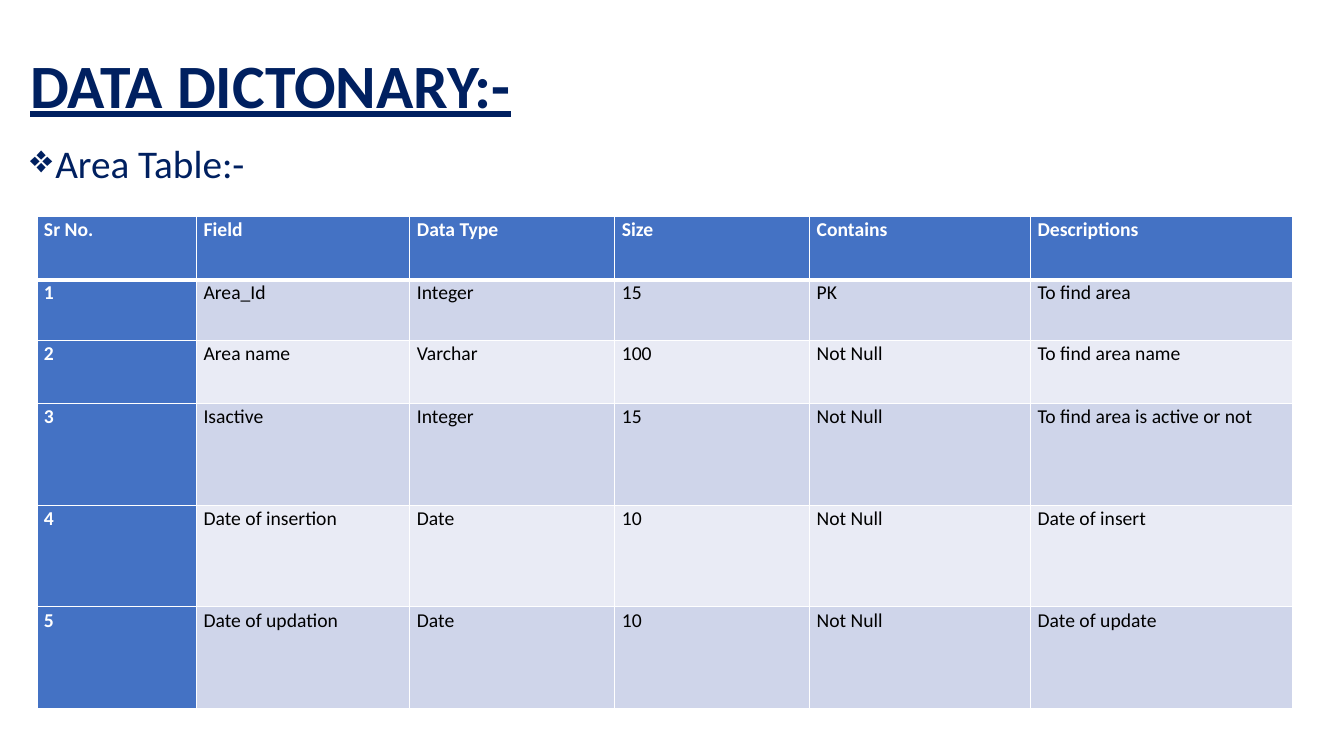
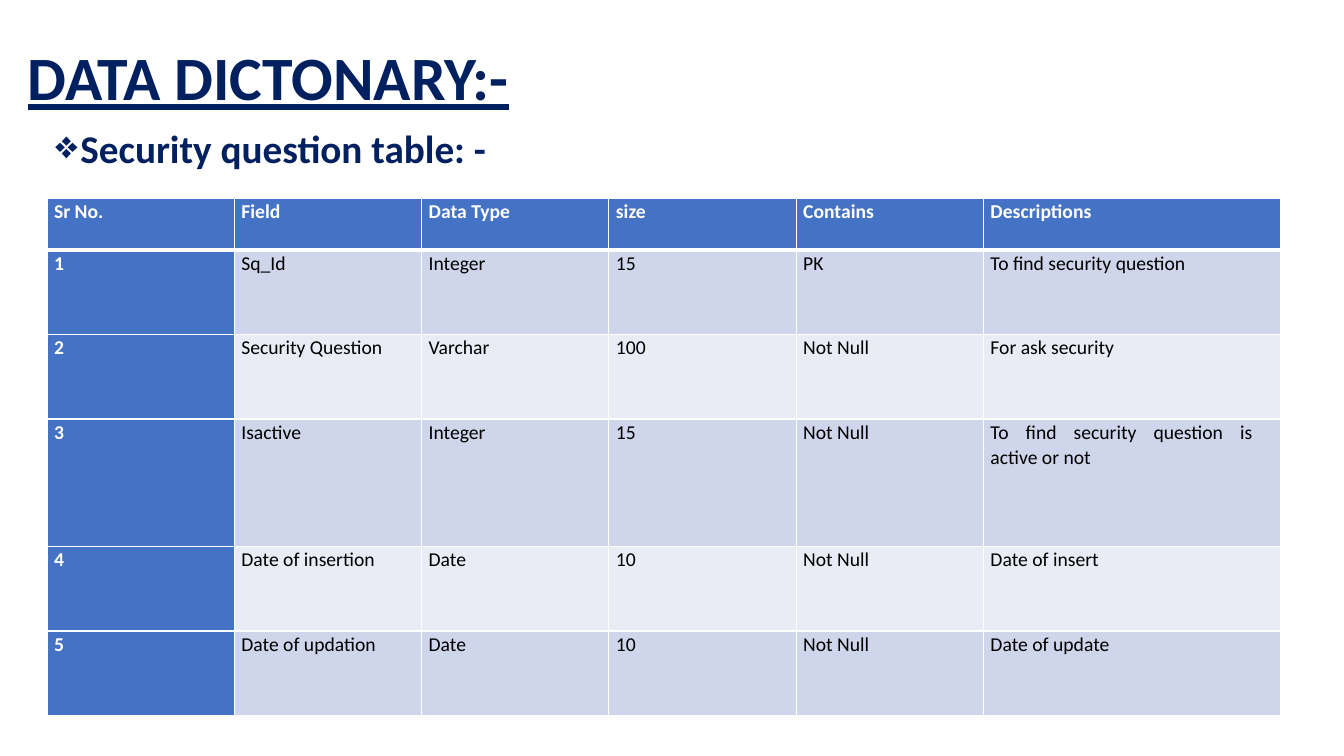
from dataclasses import dataclass

from lxml.etree import SubElement
from pptx import Presentation
from pptx.dml.color import RGBColor
from pptx.enum.text import MSO_ANCHOR, MSO_AUTO_SIZE, PP_ALIGN
from pptx.oxml.ns import qn
from pptx.slide import Slide
from pptx.table import _Cell
from pptx.text.text import TextFrame
from pptx.util import Inches, Pt

SLIDE_WIDTH, SLIDE_HEIGHT = Inches(13.33), Inches(7.5)
GRID_COLUMNS = 160  # square grid, 160 columns by 90 rows
FONT = "Calibri"
COLORS = {
    "navy": "002060",
    "header": "4472C4",
    "odd_row": "CFD5EA",
    "even_row": "E9EBF5",
    "white": "FFFFFF",
    "black": "000000",
}
BORDER, HEADER_RULE = Pt(1), Pt(3)
CELL_INSET, LAST_COLUMN_INSET = Inches(0.07), Inches(0.28)
BULLET_INDENT = Inches(0.25)


@dataclass(frozen=True)
class Box:
    """Place on the grid, in grid columns and rows."""
    left: float
    top: float
    width: float
    height: float


@dataclass(frozen=True)
class DictionaryPage:
    title_box: Box
    subtitle: str
    subtitle_bold: bool
    subtitle_box: Box
    table_left: float
    table_top: float
    column_widths: list[float]
    row_heights: list[float]
    records: list[tuple[str, ...]]


PAGES = [
    DictionaryPage(
        title_box=Box(2.4, 4.8, 146.6, 11.4),
        subtitle="Area Table:-",
        subtitle_bold=False,
        subtitle_box=Box(2.4, 16.6, 146.6, 7),
        table_left=4.4,
        table_top=25.8,
        column_widths=[19, 25.4, 24.4, 23.2, 26.3, 31.2],
        row_heights=[7.5, 7.25, 7.5] + [12.1] * 3,
        records=[
            ("Sr No.", "Field", "Data Type", "Size", "Contains", "Descriptions"),
            ("1", "Area_Id", "Integer", "15", "PK", "To find area"),
            ("2", "Area name", "Varchar", "100", "Not Null", "To find area name"),
            ("3", "Isactive", "Integer", "15", "Not Null", "To find area is active or not"),
            ("4", "Date of insertion", "Date", "10", "Not Null", "Date of insert"),
            ("5", "Date of updation", "Date", "10", "Not Null", "Date of update"),
        ],
    ),
    DictionaryPage(
        title_box=Box(2.1, 4.8, 146.9, 9.7),
        subtitle="Security question table: -",
        subtitle_bold=True,
        subtitle_box=Box(5.4, 14.9, 143.6, 7),
        table_left=5.6,
        table_top=23.6,
        column_widths=[22.3] * 5 + [35.4],
        row_heights=[6.2, 10.05, 10.05, 15.2, 10.05, 10.05],
        records=[
            ("Sr No.", "Field", "Data Type", "size", "Contains", "Descriptions"),
            ("1", "Sq_Id", "Integer", "15", "PK", "To find security question"),
            ("2", "Security Question", "Varchar", "100", "Not Null", "For ask security"),
            ("3", "Isactive", "Integer", "15", "Not Null",
             "To find security question is active or not"),
            ("4", "Date of insertion", "Date", "10", "Not Null", "Date of insert"),
            ("5", "Date of updation", "Date", "10", "Not Null", "Date of update"),
        ],
    ),
]


def grid(units: float) -> int:
    """Turn grid units into a slide length."""
    return round(SLIDE_WIDTH * units / GRID_COLUMNS)


def place(box: Box) -> tuple[int, int, int, int]:
    return grid(box.left), grid(box.top), grid(box.width), grid(box.height)


def write(frame: TextFrame, text: str, *, size: float, color: str, bold: bool = False,
          underline: bool = False, align: PP_ALIGN = PP_ALIGN.LEFT,
          line_spacing: float = 0.9, bullet: str = "") -> None:
    paragraph = frame.paragraphs[0]
    if bullet:
        properties = paragraph._p.get_or_add_pPr()
        properties.set("marL", str(BULLET_INDENT))
        properties.set("indent", str(-BULLET_INDENT))
        SubElement(properties, qn("a:buChar")).set("char", bullet)
    paragraph.alignment = align
    paragraph.line_spacing = line_spacing
    run = paragraph.add_run()
    run.text = text
    run.font.name = FONT
    run.font.size = Pt(size)
    run.font.bold = bold
    run.font.underline = underline
    run.font.color.rgb = RGBColor.from_string(COLORS[color])


def add_title(slide: Slide, box: Box) -> None:
    title = slide.shapes.title
    title.left, title.top, title.width, title.height = place(box)
    frame = title.text_frame
    frame.auto_size = MSO_AUTO_SIZE.NONE
    frame.vertical_anchor = MSO_ANCHOR.MIDDLE
    write(frame, "DATA DICTONARY:-", size=44, color="navy", bold=True, underline=True)


def add_subtitle(slide: Slide, page: DictionaryPage) -> None:
    frame = slide.shapes.add_textbox(*place(page.subtitle_box)).text_frame
    frame.word_wrap = True
    write(frame, page.subtitle, size=28, color="navy", bold=page.subtitle_bold, bullet="❖")


def draw_borders(cell: _Cell, row: int) -> None:
    """Rule the cell in white, thicker between the header and the records."""
    widths = {
        "L": BORDER,
        "R": BORDER,
        "T": HEADER_RULE if row == 1 else BORDER,
        "B": HEADER_RULE if row == 0 else BORDER,
    }
    properties = cell._tc.get_or_add_tcPr()
    for side, width in widths.items():
        line = SubElement(properties, qn(f"a:ln{side}"), w=str(width))
        fill = SubElement(line, qn("a:solidFill"))
        SubElement(fill, qn("a:srgbClr"), val=COLORS["white"])


def fill_color(row: int, column: int) -> str:
    if row == 0 or column == 0:
        return "header"
    return "odd_row" if row % 2 else "even_row"


def add_field_table(slide: Slide, page: DictionaryPage) -> None:
    box = Box(page.table_left, page.table_top, sum(page.column_widths), sum(page.row_heights))
    last_column = len(page.column_widths) - 1
    table = slide.shapes.add_table(
        len(page.row_heights), len(page.column_widths), *place(box)).table
    table.first_col = True
    for column, width in zip(table.columns, page.column_widths):
        column.width = grid(width)
    for row, height in zip(table.rows, page.row_heights):
        row.height = grid(height)
    for row, record in enumerate(page.records):
        for column, value in enumerate(record):
            cell = table.cell(row, column)
            draw_borders(cell, row)
            fill = fill_color(row, column)
            cell.fill.solid()
            cell.fill.fore_color.rgb = RGBColor.from_string(COLORS[fill])
            cell.margin_left = CELL_INSET
            cell.margin_right = LAST_COLUMN_INSET if column == last_column else CELL_INSET
            cell.margin_top = cell.margin_bottom = 0
            heading = fill == "header"
            write(cell.text_frame, value, size=14, color="white" if heading else "black",
                  bold=heading, align=PP_ALIGN.JUSTIFY, line_spacing=1.07)


def main() -> None:
    presentation = Presentation()
    presentation.slide_width, presentation.slide_height = SLIDE_WIDTH, SLIDE_HEIGHT
    title_only = presentation.slide_layouts.get_by_name("Title Only")
    for page in PAGES:
        slide = presentation.slides.add_slide(title_only)
        add_title(slide, page.title_box)
        add_subtitle(slide, page)
        add_field_table(slide, page)
    presentation.save("out.pptx")


if __name__ == "__main__":
    main()
